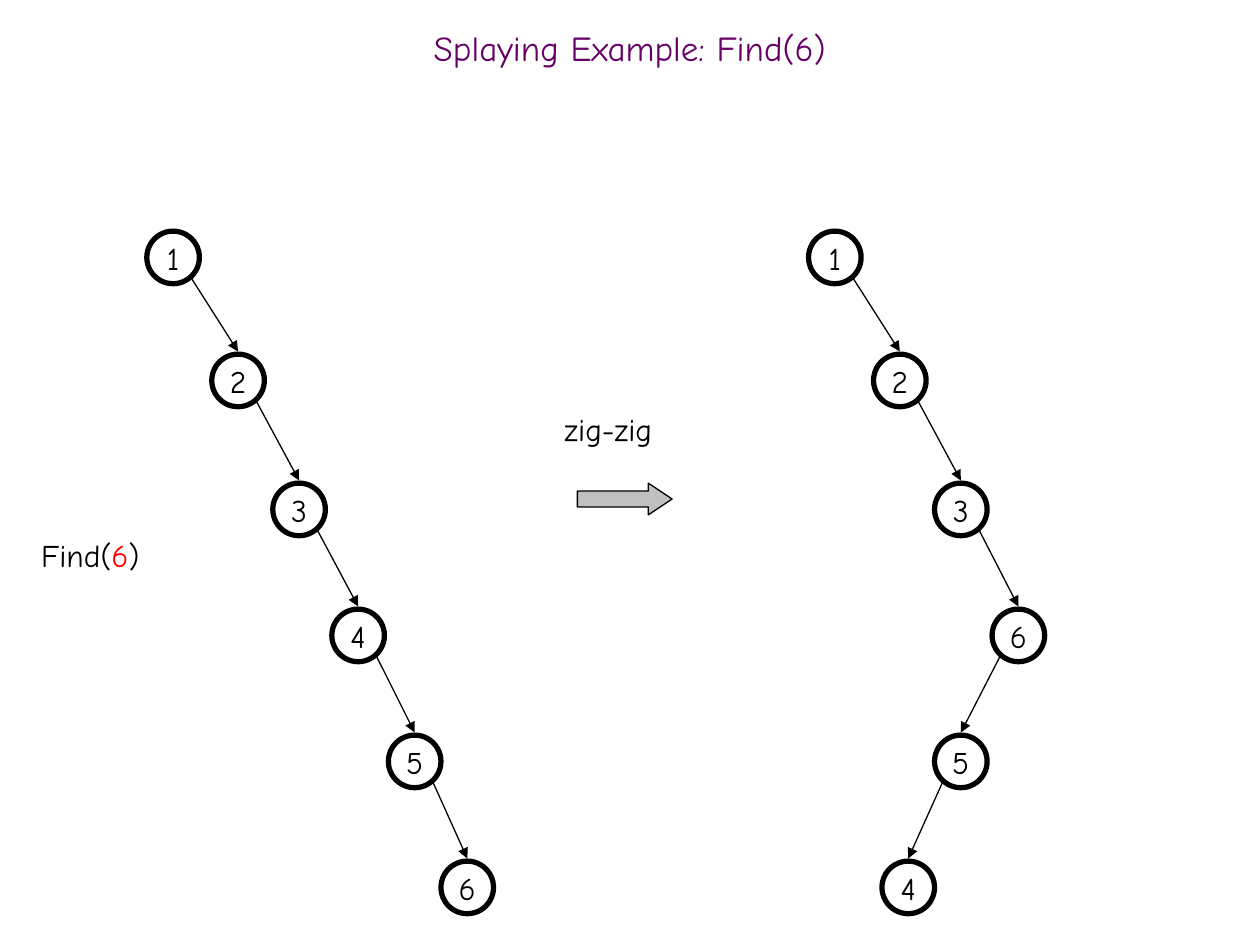
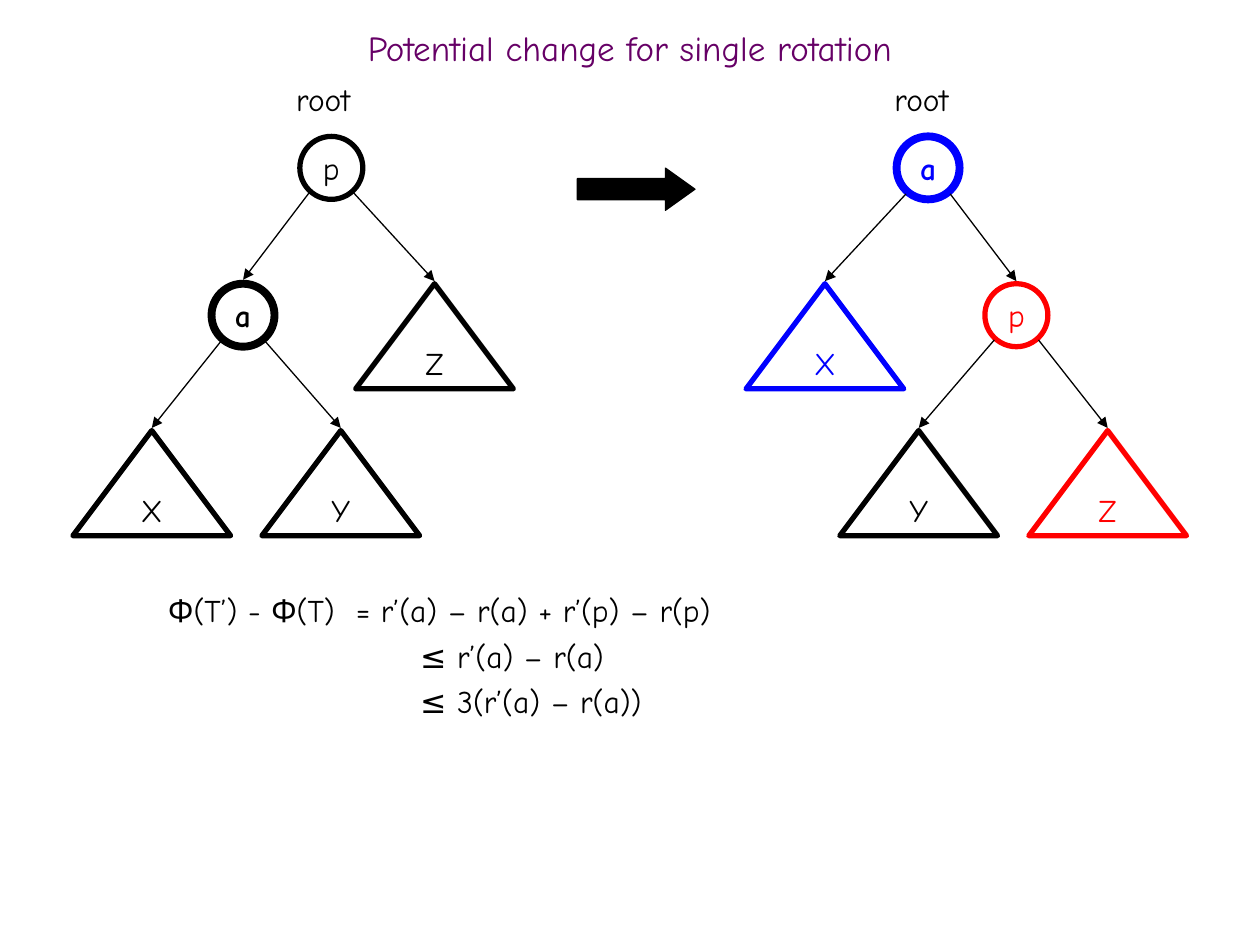
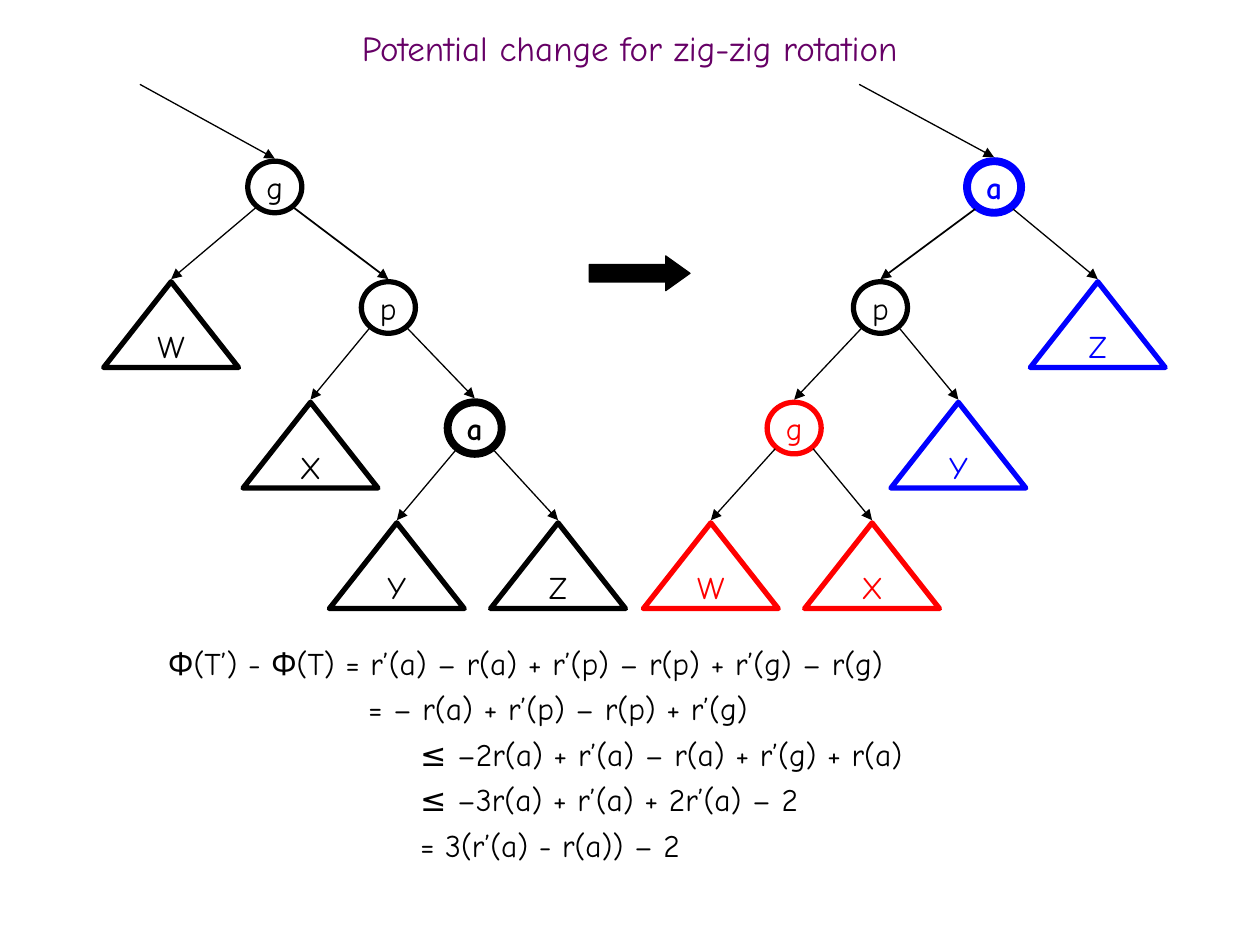
from collections import namedtuple

from pptx import Presentation
from pptx.dml.color import RGBColor
from pptx.enum.shapes import MSO_CONNECTOR, MSO_SHAPE
from pptx.enum.text import MSO_ANCHOR as Anchor, MSO_AUTO_SIZE as AutoSize, PP_ALIGN as Align
from pptx.oxml.ns import qn
from pptx.util import Cm, Pt
from lxml.etree import SubElement

COLORS = {"black": "000000", "purple": "660066", "red": "FF0000",
          "blue": "0000FF", "grey": "C0C0C0"}

# centre and top in cm; parent is the index of an earlier place in the tree
Place = namedtuple("Place", "centre top parent kind edge", defaults=("circle", 0.75))
Look = namedtuple("Look", "label color bold", defaults=("black", False))


class Slides:
    """Holds the shared style and the slide being drawn."""

    font_name = "Comic Neue"
    text_size = 18

    def __init__(self):
        self.deck = Presentation()
        self.deck.slide_width, self.deck.slide_height = Cm(25.4), Cm(19.05)
        self.page = None

    def color(self, name):
        return RGBColor.from_string(COLORS[name])

    def style(self, para, color="black", size=text_size, bold=False):
        para.font.name = self.font_name
        para.font.size = Pt(size)
        para.font.bold = bold
        para.font.color.rgb = self.color(color)

    def text_box(self, left, top, width, height, wrap=True):
        box = self.page.shapes.add_textbox(Cm(left), Cm(top), Cm(width), Cm(height))
        box.text_frame.word_wrap = wrap
        return box.text_frame

    def start(self, title):
        self.page = self.deck.slides.add_slide(self.deck.slide_layouts[6])
        frame = self.text_box(0, 0.43, 25.4, 1.27)
        frame.vertical_anchor = Anchor.MIDDLE
        para = frame.paragraphs[0]
        para.text, para.alignment, para.line_spacing = title, Align.CENTER, 0.7
        self.style(para, "purple", 20)

    def label(self, left, top, width, *spans):
        """A one-line caption made of (text, colour) spans."""
        frame = self.text_box(left, top, width, 1.02, wrap=False)
        frame.auto_size = AutoSize.SHAPE_TO_FIT_TEXT
        para = frame.paragraphs[0]
        self.style(para)
        for text, color in spans:
            span = para.add_run()
            span.text = text
            span.font.color.rgb = self.color(color)

    def formula(self, top, lines):
        """Lines of (indent, text) at a fixed pitch."""
        frame = self.text_box(1.87, top, 22.07, 4.01)
        for number, (indent, text) in enumerate(lines):
            para = frame.add_paragraph() if number else frame.paragraphs[0]
            para.text, para.line_spacing = text, Pt(26)
            para._p.get_or_add_pPr().set("marL", str(Cm(indent)))
            self.style(para)

    def shape(self, kind, left, top, width, height, line="black", weight=0.75, fill=None):
        shape = self.page.shapes.add_shape(kind, Cm(left), Cm(top), Cm(width), Cm(height))
        shape.shadow.inherit = False
        shape.line.color.rgb, shape.line.width = self.color(line), Pt(weight)
        if fill:
            shape.fill.solid()
            shape.fill.fore_color.rgb = self.color(fill)
        else:
            shape.fill.background()
        return shape

    def block_arrow(self, left, top, width, height, head, fill="black"):
        arrow = self.shape(MSO_SHAPE.RIGHT_ARROW, left, top, width, height, fill=fill)
        arrow.adjustments[0], arrow.adjustments[1] = 0.5, head

    def node(self, look, kind, centre, top, size):
        width, height = size
        preset = MSO_SHAPE.OVAL if kind == "circle" else MSO_SHAPE.ISOSCELES_TRIANGLE
        node = self.shape(preset, centre - width / 2, top, width, height,
                          look.color, 4.5 if look.bold else 3)
        frame = node.text_frame
        frame.word_wrap, frame.vertical_anchor = False, Anchor.MIDDLE
        para = frame.paragraphs[0]
        para.text, para.alignment = look.label, Align.CENTER
        self.style(para, look.color, bold=look.bold)
        return node

    def line_arrow(self, start, end, weight=0.75):
        line = self.page.shapes.add_connector(
            MSO_CONNECTOR.STRAIGHT, *(round(value) for value in (*start, *end)))
        line.line.color.rgb, line.line.width = self.color("black"), Pt(weight)
        SubElement(line.line._get_or_add_ln(), qn("a:tailEnd"), type="triangle")
        SubElement(line._element.spPr, qn("a:effectLst"))

    def top_of(self, node):
        return node.left + node.width / 2, node.top - node.line.width / 2

    def edge(self, parent, child, weight):
        """Runs from the parent's lower diagonal to the child's top."""
        end = self.top_of(child)
        middle = parent.left + parent.width / 2
        side = 1 if end[0] > middle else -1
        start = (middle + side * 0.35 * parent.width,
                 parent.top + 0.85 * parent.height + parent.line.width / 2)
        self.line_arrow(start, end, weight)

    def tree(self, places, looks, sizes, mirror=None):
        """Draws the places; mirror is the sum of a centre and its reflection."""
        nodes = []
        for place, look in zip(places, looks):
            centre = mirror - place.centre if mirror else place.centre
            nodes.append(self.node(look, place.kind, centre, place.top, sizes[place.kind]))
            if place.parent is not None:
                self.edge(nodes[place.parent], nodes[-1], place.edge)
        return nodes[0]


def chain(centres):
    tops = [4.66, 7.14] + [9.74 + 2.54 * step for step in range(4)]
    return [Place(centre, top, number - 1 if number else None)
            for number, (centre, top) in enumerate(zip(centres, tops))]


def find_slide(slides):
    slides.start("Splaying Example: Find(6)")
    for centres, labels in (((3.49, 4.8, 6.03, 7.22, 8.36, 9.42), "123456"),
                            ((16.83, 18.14, 19.37, 20.53, 19.37, 18.31), "123654")):
        slides.tree(chain(centres), [Look(label) for label in labels],
                    {"circle": (1.06, 1.06)})
    slides.label(0.58, 10.69, 2.67, ("Find(", "black"), ("6", "red"), (")", "black"))
    slides.label(11.13, 8.15, 2.49, ("zig-zig", "black"))
    slides.block_arrow(11.64, 9.74, 1.91, 0.64, 0.75, "grey")


def single_rotation_slide(slides):
    slides.start("Potential change for single rotation")
    places = [Place(6.68, 2.75, None),
              Place(4.9, 5.72, 0),
              Place(8.76, 5.72, 0, "triangle"),
              Place(3.06, 8.68, 1, "triangle"),
              Place(6.87, 8.68, 1, "triangle")]
    sizes = {"circle": (1.27, 1.27), "triangle": (3.18, 2.12)}
    before = [Look("p"), Look("a", bold=True), Look("Z"), Look("X"), Look("Y")]
    after = [Look("a", "blue", True), Look("p", "red"), Look("X", "blue"),
             Look("Z", "red"), Look("Y")]
    slides.tree(places, before, sizes)
    slides.tree(places, after, sizes, mirror=25.39)
    for left in (5.72, 17.78):
        slides.label(left, 1.48, 1.8, ("root", "black"))
    slides.block_arrow(11.64, 3.39, 2.37, 0.85, 0.7)
    slides.formula(11.64, [(1.27, "Φ(T’) - Φ(T)  = r’(a) – r(a) + r’(p) – r(p)"),
                           (6.35, "≤ r’(a) – r(a)"),
                           (6.35, "≤ 3(r’(a) – r(a))")])


def zig_zig_slide(slides):
    slides.start("Potential change for zig-zig rotation")
    tops = [3.25 + 2.43 * level for level in range(4)]
    places = [Place(5.54, tops[0], None),
              Place(3.45, tops[1], 0, "triangle"),
              Place(7.83, tops[1], 0, edge=1),
              Place(6.26, tops[2], 2, "triangle"),
              Place(9.57, tops[2], 2),
              Place(8, tops[3], 4, "triangle"),
              Place(11.25, tops[3], 4, "triangle")]
    sizes = {"circle": (1.09, 1.04), "triangle": (2.72, 1.73)}
    before = [Look("g"), Look("W"), Look("p"), Look("X"), Look("a", bold=True),
              Look("Y"), Look("Z")]
    after = [Look("a", "blue", True), Look("Z", "blue"), Look("p"), Look("Y", "blue"),
             Look("g", "red"), Look("X", "red"), Look("W", "red")]
    for looks, mirror in ((before, None), (after, 25.58)):
        root = slides.tree(places, looks, sizes, mirror)
        end = slides.top_of(root)
        slides.line_arrow((end[0] - Cm(2.72), Cm(1.7)), end)
    slides.block_arrow(11.88, 5.16, 2.03, 0.7, 0.7)
    slides.formula(12.7, [(1.27, "Φ(T’) - Φ(T) = r’(a) – r(a) + r’(p) – r(p) + r’(g) – r(g)"),
                          (5.3, "= – r(a) + r’(p) – r(p) + r’(g)"),
                          (6.35, "≤ –2r(a) + r’(a) – r(a) + r’(g) + r(a)"),
                          (6.35, "≤ –3r(a) + r’(a) + 2r’(a) – 2"),
                          (6.35, "= 3(r’(a) - r(a)) – 2")])


def main():
    slides = Slides()
    find_slide(slides)
    single_rotation_slide(slides)
    zig_zig_slide(slides)
    slides.deck.save("out.pptx")


if __name__ == "__main__":
    main()
